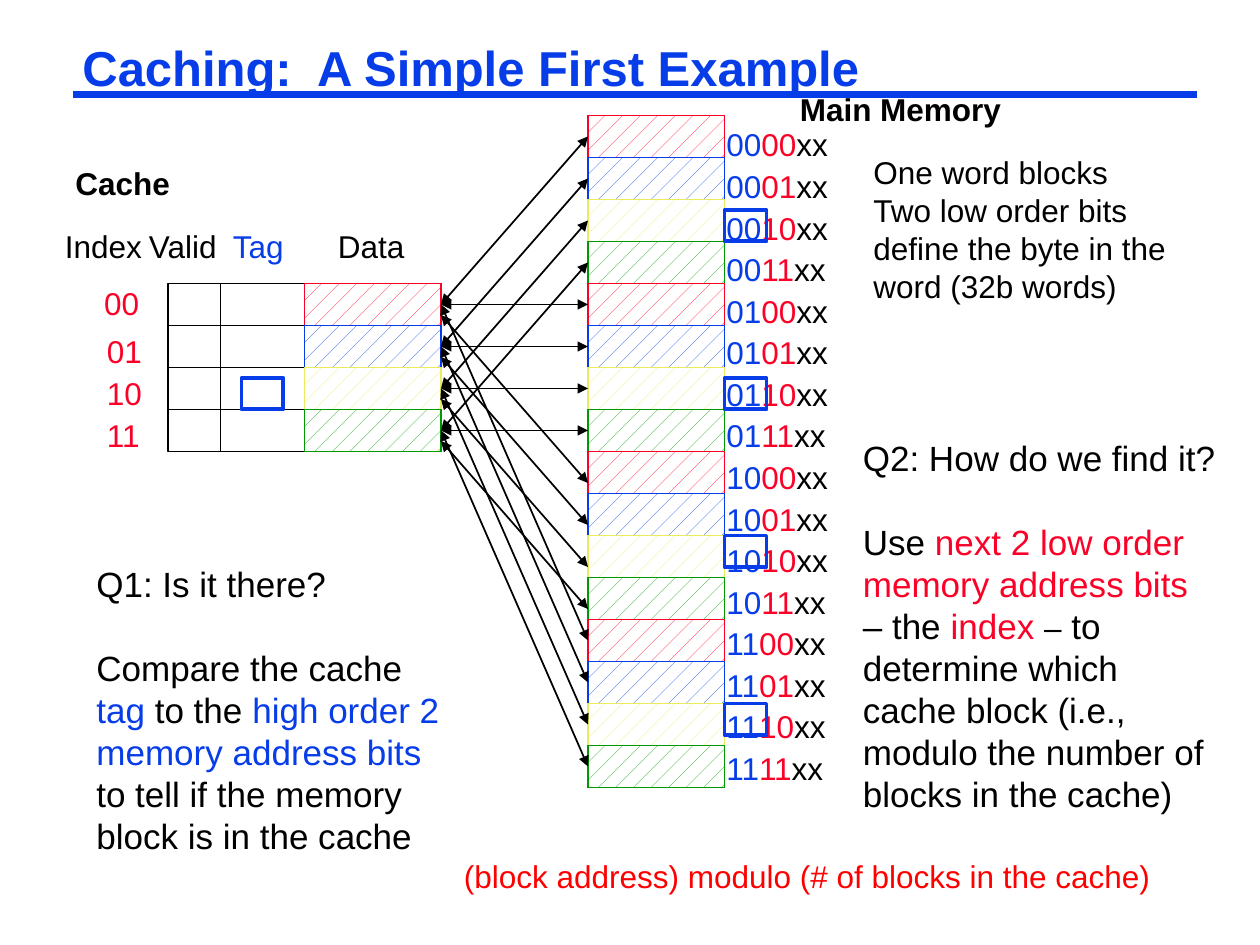
from lxml.etree import SubElement
from pptx import Presentation
from pptx.dml.color import RGBColor
from pptx.enum.dml import MSO_PATTERN
from pptx.enum.shapes import MSO_CONNECTOR, MSO_SHAPE
from pptx.enum.text import MSO_ANCHOR, PP_ALIGN
from pptx.oxml.ns import qn
from pptx.util import Cm, Pt

COLORS = {
    "black": "000000",
    "white": "FFFFFF",
    "blue": "063DE8",
    "red": "FC0128",
    "green": "009900",
    "yellow": "EAEC5E",
    "formula": "FF0000",
}
BLOCK_COLORS = ["red", "blue", "yellow", "green"]
ROW = 4
MEMORY_LEFT, MEMORY_TOP, MEMORY_BLOCKS = 56, 11, 16
CACHE_TOP, CACHE_ROWS = 27, 4
DATA_LEFT, DATA_WIDTH = 29, 13
DATA_RIGHT = DATA_LEFT + DATA_WIDTH
MEMORY_RIGHT = MEMORY_LEFT + DATA_WIDTH


def color(name):
    return RGBColor.from_string(COLORS[name])


def grid(*steps):
    return [Cm(step * 2.54 / 12) for step in steps]


def fill_text(frame, paragraphs, size=18, bold=False, ink="black", spacing=1.0, gap=0):
    for number, runs in enumerate(paragraphs):
        para = frame.paragraphs[0] if number == 0 else frame.add_paragraph()
        para.alignment = PP_ALIGN.LEFT
        para.line_spacing = spacing
        para.space_before = Pt(gap if number else 0)
        for run in [runs] if isinstance(runs, str) else runs:
            text, run_ink, run_size = (run, ink, size) if isinstance(run, str) else (*run, size)[:3]
            span = para.add_run()
            span.text = text
            span.font.name = "Arial"
            span.font.size = Pt(run_size)
            span.font.bold = bold
            span.font.color.rgb = color(run_ink)


def add_text(page, place, paragraphs, wrap=True, **style):
    box = page.shapes.add_textbox(*grid(*place))
    box.text_frame.word_wrap = wrap
    fill_text(box.text_frame, paragraphs, **style)


def add_line(page, start, end, ink="black", width=1, arrows=False):
    line = page.shapes.add_connector(MSO_CONNECTOR.STRAIGHT, *grid(*start, *end))
    line.line.color.rgb = color(ink)
    line.line.width = Pt(width)
    if arrows:
        outline = line.line._get_or_add_ln()
        for name in ("a:headEnd", "a:tailEnd"):
            SubElement(outline, qn(name), type="triangle")
    SubElement(line._element.spPr, qn("a:effectLst"))


def add_rect(page, place, ink="black", width=1, patterned=False):
    rect = page.shapes.add_shape(MSO_SHAPE.RECTANGLE, *grid(*place))
    rect.shadow.inherit = False
    rect.line.color.rgb = color(ink)
    rect.line.width = Pt(width)
    if patterned:
        rect.fill.patterned()
        rect.fill.pattern = MSO_PATTERN.PERCENT_5
        rect.fill.fore_color.rgb = color(ink)
        rect.fill.back_color.rgb = color("white")
    else:
        rect.fill.background()


def add_title(page, text):
    add_line(page, (7, 9), (114, 9), ink="blue", width=4.5)
    title = page.shapes.title
    title.left, title.top, title.width, title.height = grid(7, 4, 107, 5.5)
    frame = title.text_frame
    frame.margin_left = frame.margin_right = Cm(0.18)
    frame.margin_top = frame.margin_bottom = Cm(0.08)
    frame.vertical_anchor = MSO_ANCHOR.TOP
    fill_text(frame, [text], size=28, bold=True, ink="blue", spacing=0.87)


def add_blocks(page, left, top, count):
    for block in range(count):
        place = (left, top + block * ROW, DATA_WIDTH, ROW)
        add_rect(page, place, ink=BLOCK_COLORS[block % CACHE_ROWS], patterned=True)


def add_cache(page):
    for left, width in ((16, 5), (21, 8), (DATA_LEFT, DATA_WIDTH)):
        add_rect(page, (left, CACHE_TOP, width, CACHE_ROWS * ROW))
        for row in range(1, CACHE_ROWS):
            y = CACHE_TOP + row * ROW
            add_line(page, (left, y), (left + width, y))
    add_blocks(page, DATA_LEFT, CACHE_TOP, CACHE_ROWS)
    add_text(page, (6, 15, 11.4, 4.8), ["Cache"], wrap=False, bold=True)
    for label, left, width, ink in (
        ("Index", 5, 9.7, "black"),
        ("Valid", 13, 9.1, "black"),
        ("Tag", 21, 7.6, "blue"),
        ("Data", 31, 8.8, "black"),
    ):
        add_text(page, (left, 21, width, 4.8), [label], wrap=False, ink=ink)
    for row, (left, top) in enumerate([(8.75, 26.5), (9, 31), (9, 35), (9, 39)]):
        add_text(page, (left, top, 5.8, 4.8), [f"{row:02b}"], wrap=False, ink="red")


def add_memory(page):
    bottom = MEMORY_TOP + MEMORY_BLOCKS * ROW
    for x in (MEMORY_LEFT, MEMORY_RIGHT):
        add_line(page, (x, MEMORY_TOP), (x, bottom))
    for y in range(MEMORY_TOP, bottom + 1, ROW):
        add_line(page, (MEMORY_LEFT, y), (MEMORY_RIGHT, y))
    add_blocks(page, MEMORY_LEFT, MEMORY_TOP, MEMORY_BLOCKS)
    add_text(page, (75, 8, 21.6, 4.8), ["Main Memory"], wrap=False, bold=True)
    addresses = [
        [(f"{block // CACHE_ROWS:02b}", "blue"), (f"{block % CACHE_ROWS:02b}", "red"), "xx"]
        for block in range(MEMORY_BLOCKS)
    ]
    add_text(page, (68, 11, 13, 64.6), addresses, spacing=1.1)


def add_mapping(page):
    for block in range(MEMORY_BLOCKS):
        group, row = divmod(block, CACHE_ROWS)
        shift = ROW / 2 + (1 if group == 2 else 0)
        start = (MEMORY_LEFT, MEMORY_TOP + block * ROW + shift)
        end = (DATA_RIGHT, CACHE_TOP + row * ROW + shift)
        add_line(page, start, end, arrows=True)


def add_notes_text(page):
    add_text(page, (82, 14, 33, 15.7), [
        "One word blocks",
        "Two low order bits define the byte in the word (32b words)",
    ])
    add_text(page, (8, 53, 37, 29.2), [
        "Q1: Is it there?",
        ["Compare the cache ", ("tag", "blue"), " to the ",
         ("high order 2 memory address bits", "blue"),
         " to tell if the memory block is in the cache"],
    ], size=20, gap=24)
    add_text(page, (81, 41, 36, 37.2), [
        "Q2: How do we find it?",
        ["Use", (" next 2 low order memory address bits ", "red"), "– the",
         (" index ", "red"), ("–", "black", 18),
         " to determine which cache block (i.e., modulo the number of blocks in the cache)"],
    ], size=20, gap=24)
    add_text(page, (43, 81, 72, 4.8), ["(block address) modulo (# of blocks in the cache)"],
             ink="formula")


def add_tag_marks(page):
    for left, top in ((23, 36), (69, 20), (69, 36), (69, 51), (69, 67)):
        add_rect(page, (left, top, 4, 3), ink="blue", width=2.25)


def main():
    deck = Presentation()
    deck.slide_width, deck.slide_height = Cm(25.4), Cm(19.05)
    page = deck.slides.add_slide(deck.slide_layouts[5])
    add_title(page, "Caching:  A Simple First Example")
    add_cache(page)
    add_memory(page)
    add_mapping(page)
    add_notes_text(page)
    add_tag_marks(page)
    deck.save("out.pptx")


if __name__ == "__main__":
    main()
